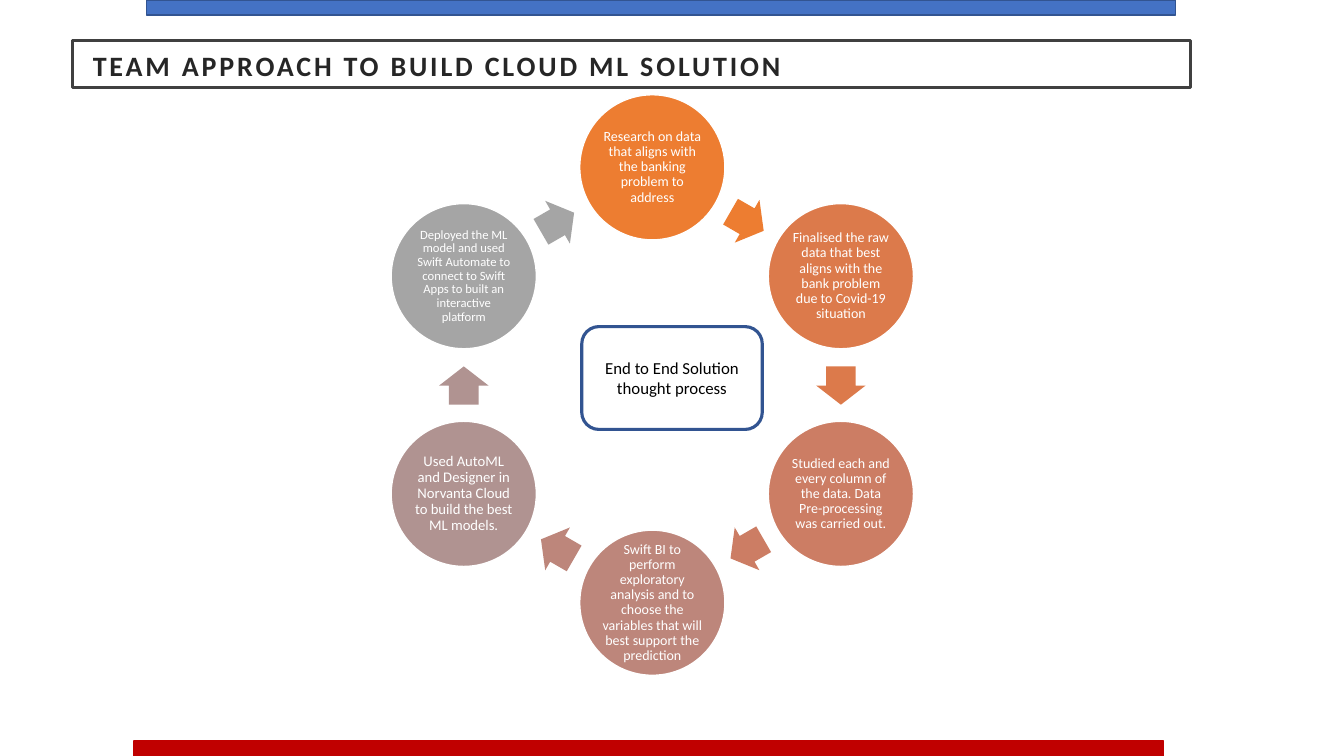
from dataclasses import dataclass
from math import cos, radians, sin

from pptx import Presentation
from pptx.dml.color import RGBColor
from pptx.enum.shapes import MSO_SHAPE
from pptx.enum.text import MSO_ANCHOR, PP_ALIGN
from pptx.util import Pt

PX = 9144


@dataclass(frozen=True)
class Theme:
    font: str = "Calibri"
    white: str = "FFFFFF"
    black: str = "000000"
    blue: str = "4472C4"
    navy: str = "325491"
    red: str = "C00000"
    ink: str = "262626"
    frame: str = "404040"
    head: float = 20
    hub: float = 12
    step: float = 10
    large: float = 10.5
    small: float = 9


THEME = Theme()

STEPS = [
    ("Research on data that aligns with the banking problem to address", "ED7D31", THEME.step),
    ("Finalised the raw data that best aligns with the bank problem due to Covid-19 situation",
     "DC7A4B", THEME.step),
    ("Studied each and every column of the data. Data Pre-processing was carried out.",
     "CC7D64", THEME.step),
    ("Swift BI to perform exploratory analysis and to choose the variables that will best "
     "support the prediction", "BD867B", THEME.step),
    ("Used AutoML and Designer in Norvanta Cloud to build the best ML models.",
     "B09391", THEME.large),
    ("Deployed the ML model and used Swift Automate to connect to Swift Apps to built an "
     "interactive platform", "A5A5A5", THEME.small),
]


def add_form(slide, kind, box, fill=None, line=None, width=1):
    form = slide.shapes.add_shape(kind, *(round(n) * PX for n in box))
    form.shadow.inherit = False
    if fill:
        form.fill.solid()
        form.fill.fore_color.rgb = RGBColor.from_string(fill)
    else:
        form.fill.background()
    if line:
        form.line.color.rgb = RGBColor.from_string(line)
        form.line.width = Pt(width)
    else:
        form.line.fill.background()
    return form


def set_text(form, text, size, color, pad, align=PP_ALIGN.CENTER, lead=1.0):
    frame = form.text_frame
    frame.text = text
    frame.word_wrap = True
    frame.vertical_anchor = MSO_ANCHOR.MIDDLE
    frame.margin_left = frame.margin_right = pad[0] * PX
    frame.margin_top = frame.margin_bottom = pad[1] * PX
    para = frame.paragraphs[0]
    para.alignment = align
    para.line_spacing = lead
    font = para.runs[0].font
    font.name = THEME.font
    font.size = Pt(size)
    font.color.rgb = RGBColor.from_string(color)
    return para.runs[0]


def draw_bars(slide, box):
    left, top, width, height = box
    wide, thick = 1021, 15
    add_form(slide, MSO_SHAPE.RECTANGLE, (left + 145, top, wide, thick),
             THEME.blue, THEME.navy)
    add_form(slide, MSO_SHAPE.RECTANGLE, (left + 133, top + height - thick, wide, thick),
             THEME.red, THEME.red)


def draw_title(slide, box):
    form = add_form(slide, MSO_SHAPE.RECTANGLE, box, THEME.white, THEME.frame, 2.5)
    run = set_text(form, "TEAM APPROACH TO BUILD CLOUD ML SOLUTION", THEME.head,
                   THEME.ink, (20, 20), PP_ALIGN.LEFT, 1.1)
    run.font.bold = True
    run.font._element.set("spc", "200")


def draw_cycle(slide, box):
    left, top, width, height = box
    size, long, broad = 144, 38, 49
    mid_x, mid_y = left + width / 2, top + height / 2
    ring = (height - size) / 2
    turn = 360 / len(STEPS)
    inner = ring * cos(radians(turn / 2))

    def place(reach, angle, wide, high):
        x = mid_x + reach * sin(radians(angle))
        y = mid_y - reach * cos(radians(angle))
        return x - wide / 2, y - high / 2, wide, high

    for index, (text, color, points) in enumerate(STEPS):
        angle = index * turn
        disc = add_form(slide, MSO_SHAPE.OVAL, place(ring, angle, size, size),
                        color, THEME.white)
        set_text(disc, text, points, THEME.white, (1, 1), lead=0.9)
        angle += turn / 2
        arrow = add_form(slide, MSO_SHAPE.RIGHT_ARROW,
                         place(inner, angle, long, broad), color)
        arrow.adjustments[0] = 0.6
        arrow.adjustments[1] = 0.5
        arrow.rotation = angle


def draw_hub(slide, box):
    form = add_form(slide, MSO_SHAPE.ROUNDED_RECTANGLE, box, line=THEME.navy, width=2.25)
    set_text(form, "End to End Solution thought process", THEME.hub, THEME.black, (10, 5))


def main():
    deck = Presentation()
    deck.slide_width, deck.slide_height = 1333 * PX, 750 * PX
    slide = deck.slides.add_slide(deck.slide_layouts[6])
    draw_bars(slide, (0, 0, 1333, 750))
    draw_cycle(slide, (388, 94, 518, 576))
    draw_hub(slide, (577, 324, 179, 102))
    draw_title(slide, (72, 40, 1109, 47))
    deck.save("out.pptx")


if __name__ == "__main__":
    main()
